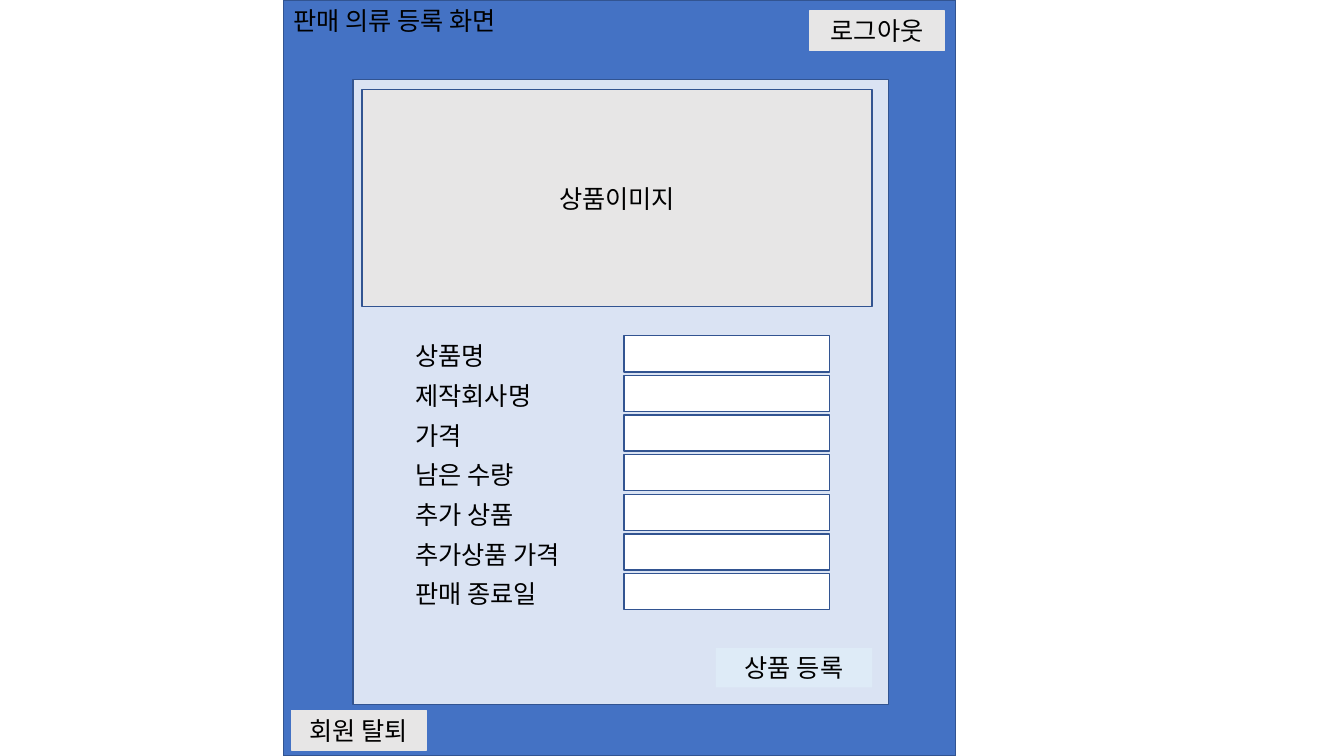
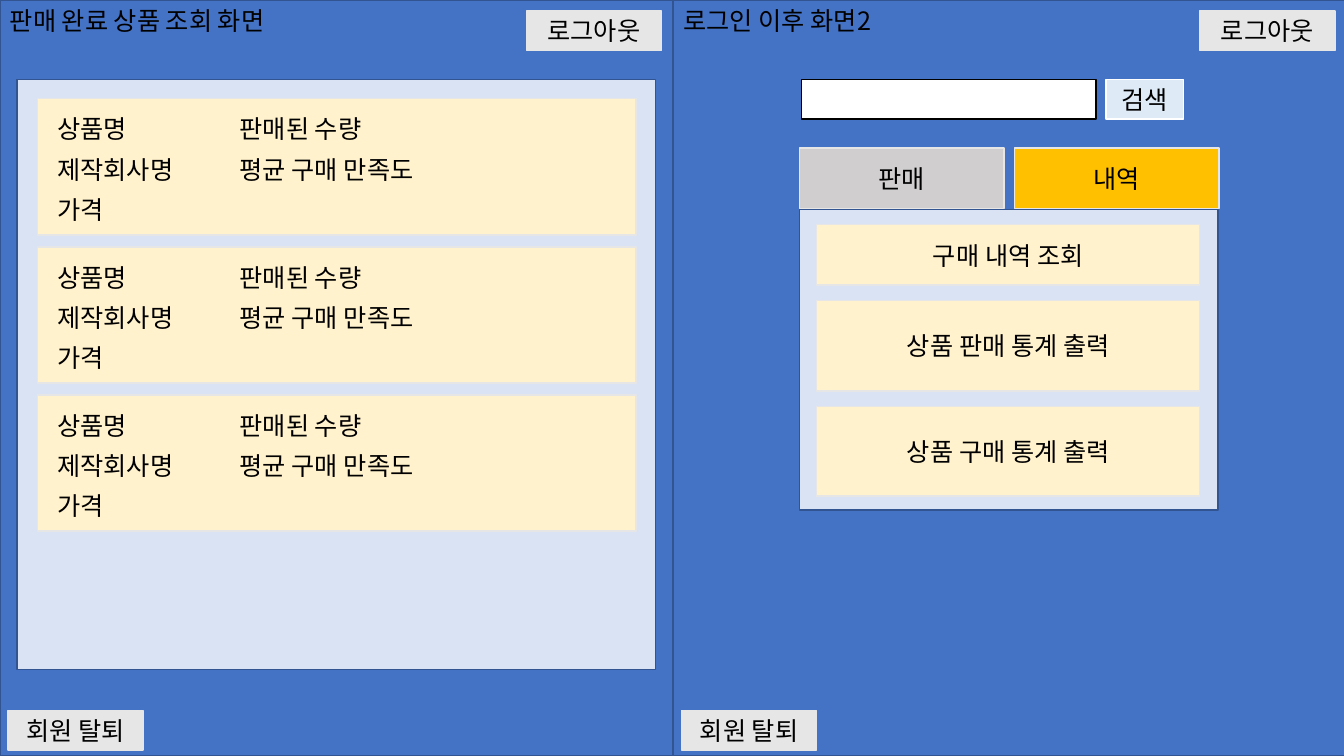
from lxml.etree import SubElement
from pptx import Presentation
from pptx.dml.color import RGBColor
from pptx.enum.shapes import MSO_SHAPE
from pptx.enum.text import MSO_ANCHOR, MSO_AUTO_SIZE, PP_ALIGN
from pptx.oxml.ns import qn
from pptx.util import Inches, Pt

COLORS = {
    "screen": "4472C4",
    "outline": "325491",
    "panel": "DAE3F3",
    "gray": "E7E6E6",
    "inactive": "D0CECE",
    "active": "FFC000",
    "action": "DEEBF7",
    "card": "FFF2CC",
    "white": "FFFFFF",
    "text": "000000",
}
FONT = {"name": "Noto Sans CJK KR", "size": Pt(18)}
LABEL_FRAME = {"word_wrap": True, "auto_size": MSO_AUTO_SIZE.SHAPE_TO_FIT_TEXT}
BOX_FRAME = {"word_wrap": True, "vertical_anchor": MSO_ANCHOR.MIDDLE}
LINE_HEIGHT = 0.4
BUTTON_HEIGHT = 0.39


def set_attributes(target, values):
    for name, value in values.items():
        setattr(target, name, value)


def color(key):
    return RGBColor.from_string(COLORS[key])


class Wireframe:
    """Holds the presentation, its style and the place being drawn on."""

    def __init__(self):
        self.deck = Presentation()
        self.deck.slide_width = Inches(13.33)
        self.deck.slide_height = Inches(7.5)

    def new_slide(self):
        self.slide = self.deck.slides.add_slide(self.deck.slide_layouts[6])
        self.canvas = self.slide.shapes

    def start_group(self):
        self.canvas = self.slide.shapes.add_group_shape().shapes

    def end_group(self):
        self.canvas = self.slide.shapes

    def set_text(self, frame, text, settings, align):
        set_attributes(frame, settings)
        paragraph = frame.paragraphs[0]
        paragraph.alignment = align
        run = paragraph.add_run()
        run.text = text
        set_attributes(run.font, FONT)
        run.font.color.rgb = color("text")
        # Hangul takes the East Asian typeface, which font.name leaves unset
        SubElement(run.font._element, qn("a:ea"), typeface=FONT["name"])

    def box(self, left, top, width, height, fill, line="gray", text=None):
        rectangle = self.canvas.add_shape(
            MSO_SHAPE.RECTANGLE, Inches(left), Inches(top), Inches(width), Inches(height))
        rectangle.shadow.inherit = False
        rectangle.fill.solid()
        rectangle.fill.fore_color.rgb = color(fill)
        if line:
            rectangle.line.color.rgb = color(line)
            rectangle.line.width = Pt(1)
        else:
            rectangle.line.fill.background()
        if text:
            self.set_text(rectangle.text_frame, text, BOX_FRAME, PP_ALIGN.CENTER)

    def label(self, left, top, width, text):
        textbox = self.canvas.add_textbox(
            Inches(left), Inches(top), Inches(width), Inches(LINE_HEIGHT))
        self.set_text(textbox.text_frame, text, LABEL_FRAME, PP_ALIGN.LEFT)

    def button(self, left, top, width, text, fill="gray", line="gray"):
        self.box(left, top, width, BUTTON_HEIGHT, fill, line, text)

    def panel(self, left, top, width, height):
        self.box(left, top, width, height, "panel", "outline")

    def screen(self, left, title, title_width):
        """Background, title and the two account buttons of an app screen."""
        self.box(left, 0, 6.67, 7.5, "screen", "outline")
        self.label(left, 0, title_width, title)
        self.button(left + 5.22, 0.11, 1.34, "로그아웃")
        self.button(left + 0.08, 7.05, 1.34, "회원 탈퇴")

    def field(self, top, name):
        self.label(4.02, top, 2.01, name)
        self.box(6.19, top, 2.04, 0.36, "white", "outline")

    def product_card(self, top, columns):
        self.start_group()
        self.box(0.37, top, 5.94, 1.35, "card")
        for left, width, names in columns:
            for row, name in enumerate(names):
                self.label(left, top + 0.1 + row * LINE_HEIGHT, width, name)
        self.end_group()


def registration_slide(wireframe):
    wireframe.new_slide()
    wireframe.screen(2.81, "판매 의류 등록 화면", 2.82)
    wireframe.panel(3.5, 0.79, 5.31, 6.2)
    wireframe.box(3.59, 0.89, 5.06, 2.15, "gray", "outline", "상품이미지")
    fields = ["상품명", "제작회사명", "가격", "남은 수량",
              "추가 상품", "추가상품 가격", "판매 종료일"]
    first_top, last_top = 3.33, 5.69
    pitch = (last_top - first_top) / (len(fields) - 1)
    for row, name in enumerate(fields):
        wireframe.field(first_top + row * pitch, name)
    wireframe.button(7.1, 6.43, 1.55, "상품 등록", "action", None)


def sales_slide(wireframe):
    wireframe.new_slide()
    wireframe.screen(0, "판매 완료 상품 조회 화면", 3.23)
    wireframe.panel(0.17, 0.79, 6.33, 5.85)
    columns = [(0.47, 1.45, ["상품명", "제작회사명", "가격"]),
               (2.28, 2.93, ["판매된 수량", "평균 구매 만족도"])]
    for index in range(3):
        wireframe.product_card(0.98 + index * 1.47, columns)

    wireframe.start_group()
    wireframe.screen(6.68, "로그인 이후 화면2", 2.28)
    wireframe.box(7.95, 0.79, 2.92, BUTTON_HEIGHT, "white", "text")
    wireframe.button(10.97, 0.79, 0.77, "검색", "action", "white")
    wireframe.panel(7.93, 2.08, 4.15, 2.98)
    for left, name, fill in [(7.93, "판매", "inactive"), (10.06, "내역", "active")]:
        wireframe.box(left, 1.47, 2.03, 0.6, fill, text=name)
    menu_top, menu_gap = 2.23, 0.15
    for name, height in [("구매 내역 조회", 0.6),
                         ("상품 판매 통계 출력", 0.9),
                         ("상품 구매 통계 출력", 0.89)]:
        wireframe.box(8.1, menu_top, 3.8, height, "card", text=name)
        menu_top += height + menu_gap
    wireframe.end_group()


def main():
    wireframe = Wireframe()
    registration_slide(wireframe)
    sales_slide(wireframe)
    wireframe.deck.save("out.pptx")


if __name__ == "__main__":
    main()
